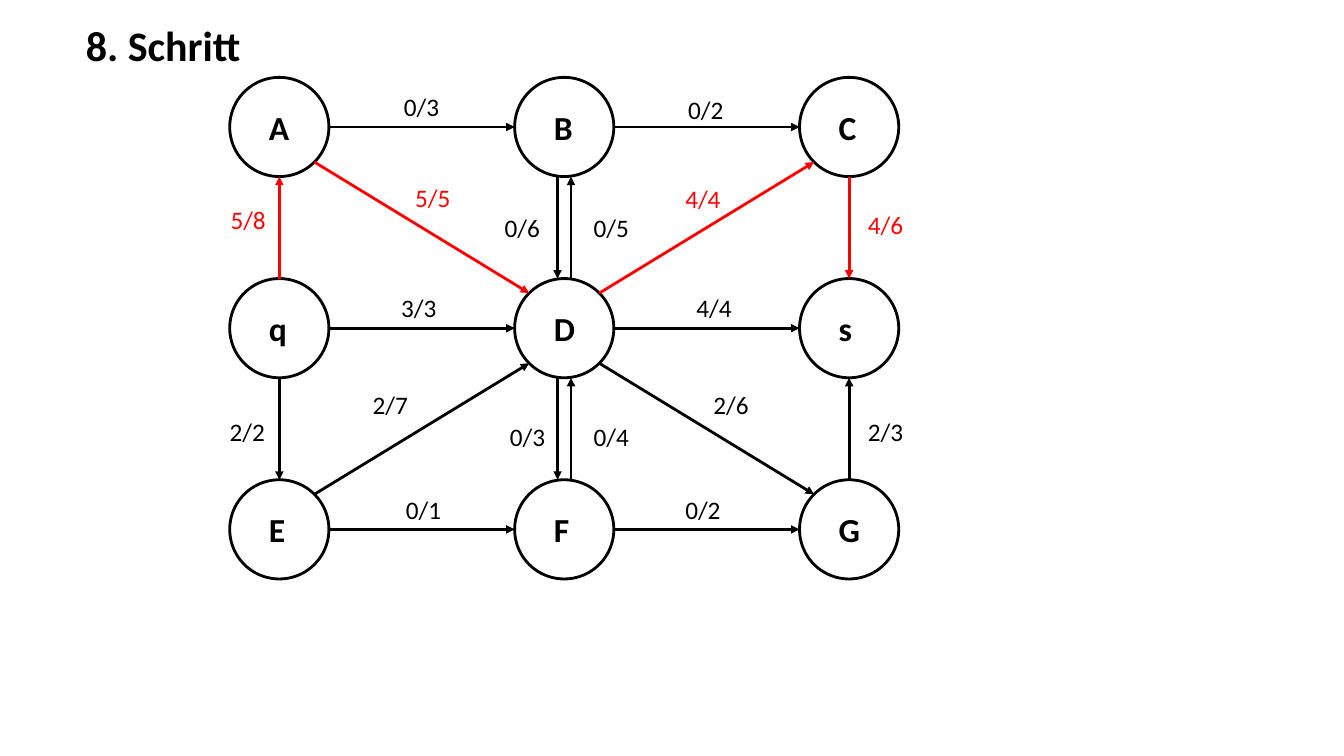
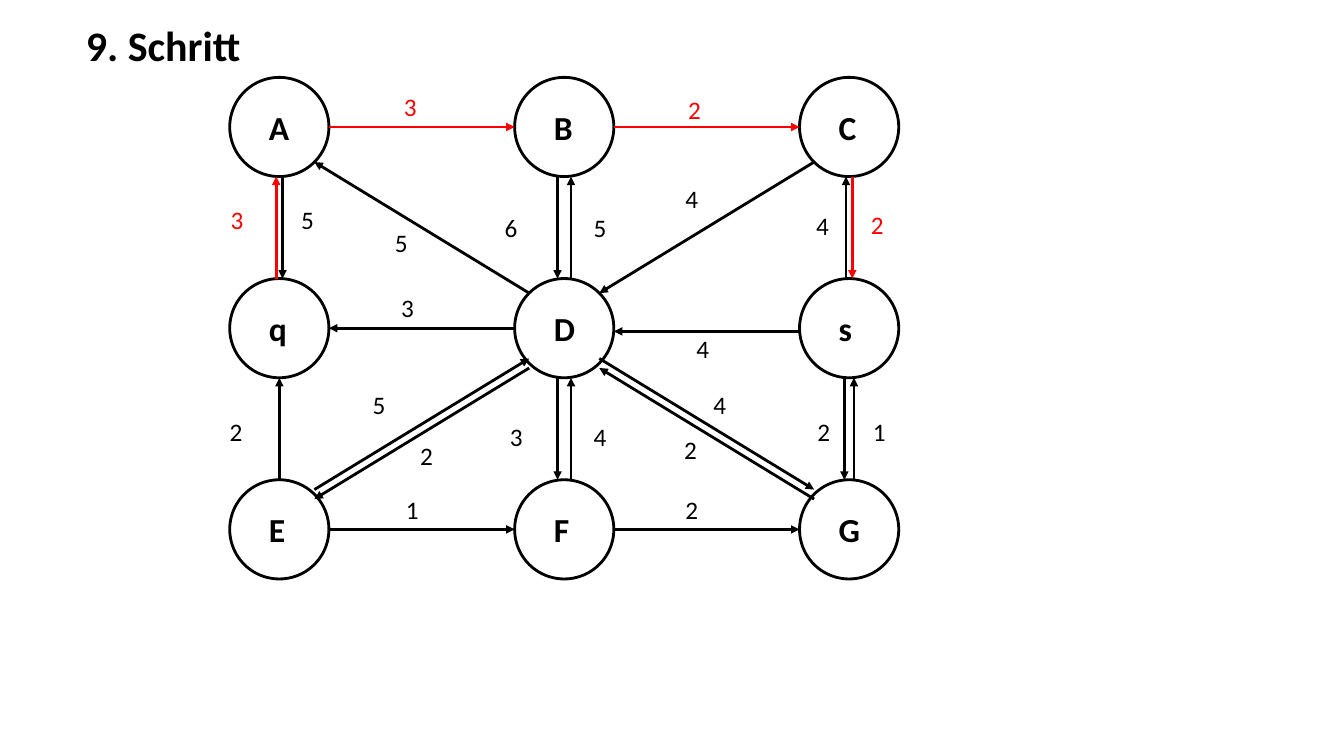
from dataclasses import dataclass
from math import sqrt

from lxml import etree
from pptx import Presentation
from pptx import util as u
from pptx.dml.color import RGBColor
from pptx.enum import shapes, text
from pptx.oxml.ns import qn

COLOURS = {"ink": "000000", "path": "FF0000"}
FONT = "Calibri"
LINE_WIDTH = u.Pt(2)

# Node grid, in centimetres
NODE_ROWS = ("ABC", "qDs", "EFG")
FIRST_X, FIRST_Y = 7.04, 3.2
PITCH_X, PITCH_Y = 7.18, 5.07
RADIUS = 1.25
CENTRES = {
    name: (FIRST_X + column * PITCH_X, FIRST_Y + row * PITCH_Y)
    for row, names in enumerate(NODE_ROWS)
    for column, name in enumerate(names)
}

# Distance between opposite arrows and the middle of their nodes
WIDE, DIAGONAL, NARROW = 0.17, 0.12, 0.08

# Left and top of the label of each edge, in centimetres
LABEL_SPOTS = {
    "AB": (9.93, 2.18), "BC": (17.09, 2.24),
    "qD": (9.86, 7.24), "Dq": (9.86, 7.24),
    "Ds": (17.3, 7.24), "sD": (17.3, 8.28),
    "EF": (9.98, 12.32), "FG": (17.02, 12.32),
    "AD": (10.21, 4.47), "DA": (9.7, 5.61),
    "DC": (17.02, 4.5), "CD": (17.02, 4.5),
    "ED": (9.14, 9.68), "DE": (10.34, 10.97),
    "DG": (17.73, 9.68), "GD": (16.99, 10.82),
    "qA": (5.56, 5.03), "Aq": (7.34, 5.03),
    "qE": (5.54, 10.36), "Eq": (5.54, 10.36),
    "Cs": (21.62, 5.16), "sC": (20.32, 5.18),
    "Gs": (21.62, 10.36), "sG": (20.35, 10.36),
    "BD": (12.47, 5.23), "DB": (14.71, 5.23),
    "DF": (12.6, 10.49), "FD": (14.71, 10.49),
}


@dataclass(frozen=True)
class Edge:
    ends: str
    label: str
    colour: str = "ink"
    shift: float = 0  # sideways for vertical edges, downwards for others
    nudge: float = 0  # moves the label to the right


@dataclass(frozen=True)
class Step:
    title: str
    edges: tuple[Edge, ...]


STEPS = (
    Step("8. Schritt", (
        Edge("AB", "0/3"), Edge("BC", "0/2"),
        Edge("qD", "3/3"), Edge("Ds", "4/4"),
        Edge("EF", "0/1"), Edge("FG", "0/2"),
        Edge("AD", "5/5", "path"), Edge("DG", "2/6"),
        Edge("ED", "2/7"), Edge("DC", "4/4", "path"),
        Edge("qA", "5/8", "path"), Edge("qE", "2/2"),
        Edge("Cs", "4/6", "path"), Edge("Gs", "2/3"),
        Edge("BD", "0/6", shift=-WIDE), Edge("DB", "0/5", shift=WIDE),
        Edge("FD", "0/4", shift=WIDE), Edge("DF", "0/3", shift=-WIDE),
    )),
    Step("9. Schritt", (
        Edge("AB", "3", "path"), Edge("BC", "2", "path"),
        Edge("Dq", "3"), Edge("sD", "4", shift=NARROW),
        Edge("EF", "1"), Edge("FG", "2"),
        Edge("DA", "5"), Edge("CD", "4"),
        Edge("DG", "4", shift=-DIAGONAL), Edge("GD", "2", shift=DIAGONAL),
        Edge("ED", "5", shift=-DIAGONAL), Edge("DE", "2", shift=DIAGONAL),
        Edge("qA", "3", "path", -NARROW), Edge("Aq", "5", shift=NARROW),
        Edge("Eq", "2"),
        Edge("Cs", "2", "path", NARROW, 0.08), Edge("sC", "4", shift=-NARROW),
        Edge("Gs", "1", shift=0.12, nudge=0.13), Edge("sG", "2", shift=-0.12),
        Edge("BD", "6", shift=-WIDE), Edge("DB", "5", shift=WIDE),
        Edge("FD", "4", shift=WIDE), Edge("DF", "3", shift=-WIDE),
    )),
)


def rgb(colour: str) -> RGBColor:
    return RGBColor.from_string(COLOURS[colour])


def set_text(frame, content: str, size: int, colour: str = "ink", bold: bool = False) -> None:
    frame.text = content
    paragraph = frame.paragraphs[0]
    paragraph.alignment = text.PP_ALIGN.LEFT
    font = paragraph.runs[0].font
    font.name, font.size, font.bold = FONT, u.Pt(size), bold
    font.color.rgb = rgb(colour)


def add_title(slide, content: str) -> None:
    title = slide.shapes.title
    title.left, title.top = u.Cm(1.91), u.Cm(0.36)
    title.width, title.height = u.Cm(4.47), u.Cm(1.55)
    frame = title.text_frame
    frame.word_wrap = False
    frame.auto_size = text.MSO_AUTO_SIZE.NONE
    frame.vertical_anchor = text.MSO_ANCHOR.TOP
    set_text(frame, content, 30, bold=True)


def add_node(slide, name: str) -> None:
    x, y = CENTRES[name]
    node = slide.shapes.add_shape(
        shapes.MSO_SHAPE.OVAL, u.Cm(x - RADIUS), u.Cm(y - RADIUS),
        u.Cm(2 * RADIUS), u.Cm(2 * RADIUS))
    node.shadow.inherit = False
    node.fill.background()
    node.line.color.rgb = rgb("ink")
    node.line.width = LINE_WIDTH
    frame = node.text_frame
    frame.vertical_anchor = text.MSO_ANCHOR.MIDDLE
    frame.margin_left, frame.margin_right = u.Cm(0.62), 0
    set_text(frame, name, 24, bold=True)


def edge_points(edge: Edge) -> list[float]:
    """Return both ends of an edge on the rims of its two nodes."""
    (x1, y1), (x2, y2) = (CENTRES[name] for name in edge.ends)
    side_x, side_y = (x2 > x1) - (x2 < x1), (y2 > y1) - (y2 < y1)
    reach = RADIUS / sqrt(abs(side_x) + abs(side_y))
    shift_x, shift_y = (0, edge.shift) if side_x else (edge.shift, 0)
    return [
        x1 + side_x * reach + shift_x, y1 + side_y * reach + shift_y,
        x2 - side_x * reach + shift_x, y2 - side_y * reach + shift_y,
    ]


def add_arrow(slide, edge: Edge) -> None:
    arrow = slide.shapes.add_connector(
        shapes.MSO_CONNECTOR.STRAIGHT, *(u.Cm(value) for value in edge_points(edge)))
    arrow.line.color.rgb = rgb(edge.colour)
    arrow.line.width = LINE_WIDTH
    etree.SubElement(arrow.line._get_or_add_ln(), qn("a:tailEnd"), type="triangle")
    etree.SubElement(arrow._element.spPr, qn("a:effectLst"))


def add_label(slide, edge: Edge) -> None:
    left, top = LABEL_SPOTS[edge.ends]
    width = 0.55 + 0.29 * len(edge.label)
    label = slide.shapes.add_textbox(
        u.Cm(left + edge.nudge), u.Cm(top), u.Cm(width), u.Cm(1.02))
    label.text_frame.word_wrap = False
    set_text(label.text_frame, edge.label, 18, edge.colour)


def add_step(presentation, step: Step) -> None:
    slide = presentation.slides.add_slide(presentation.slide_layouts[5])
    add_title(slide, step.title)
    for name in CENTRES:
        add_node(slide, name)
    for edge in step.edges:
        add_arrow(slide, edge)
    for edge in step.edges:
        add_label(slide, edge)


def main() -> None:
    presentation = Presentation()
    presentation.slide_width, presentation.slide_height = u.Cm(33.87), u.Cm(19.05)
    for step in STEPS:
        add_step(presentation, step)
    presentation.save("out.pptx")


if __name__ == "__main__":
    main()
